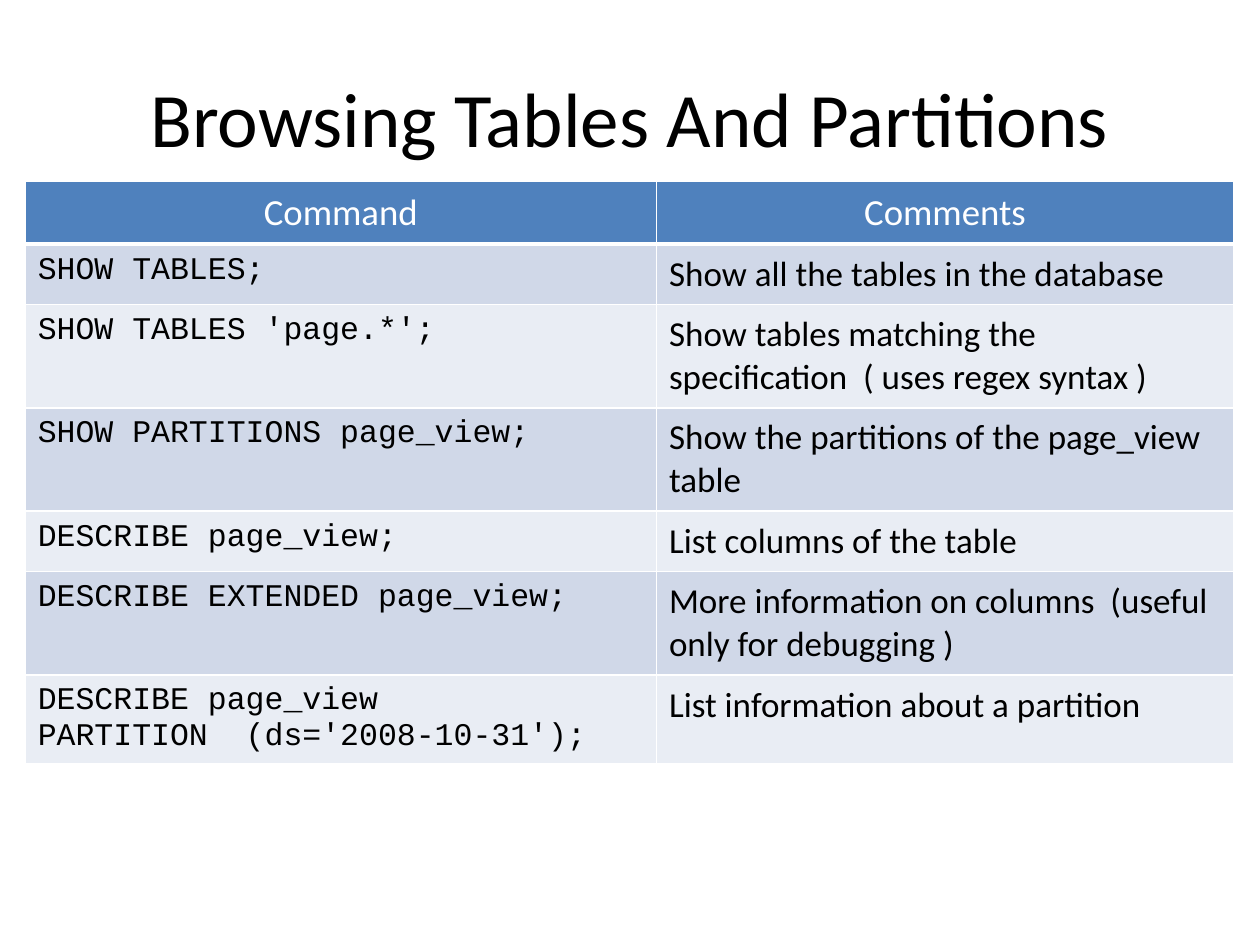
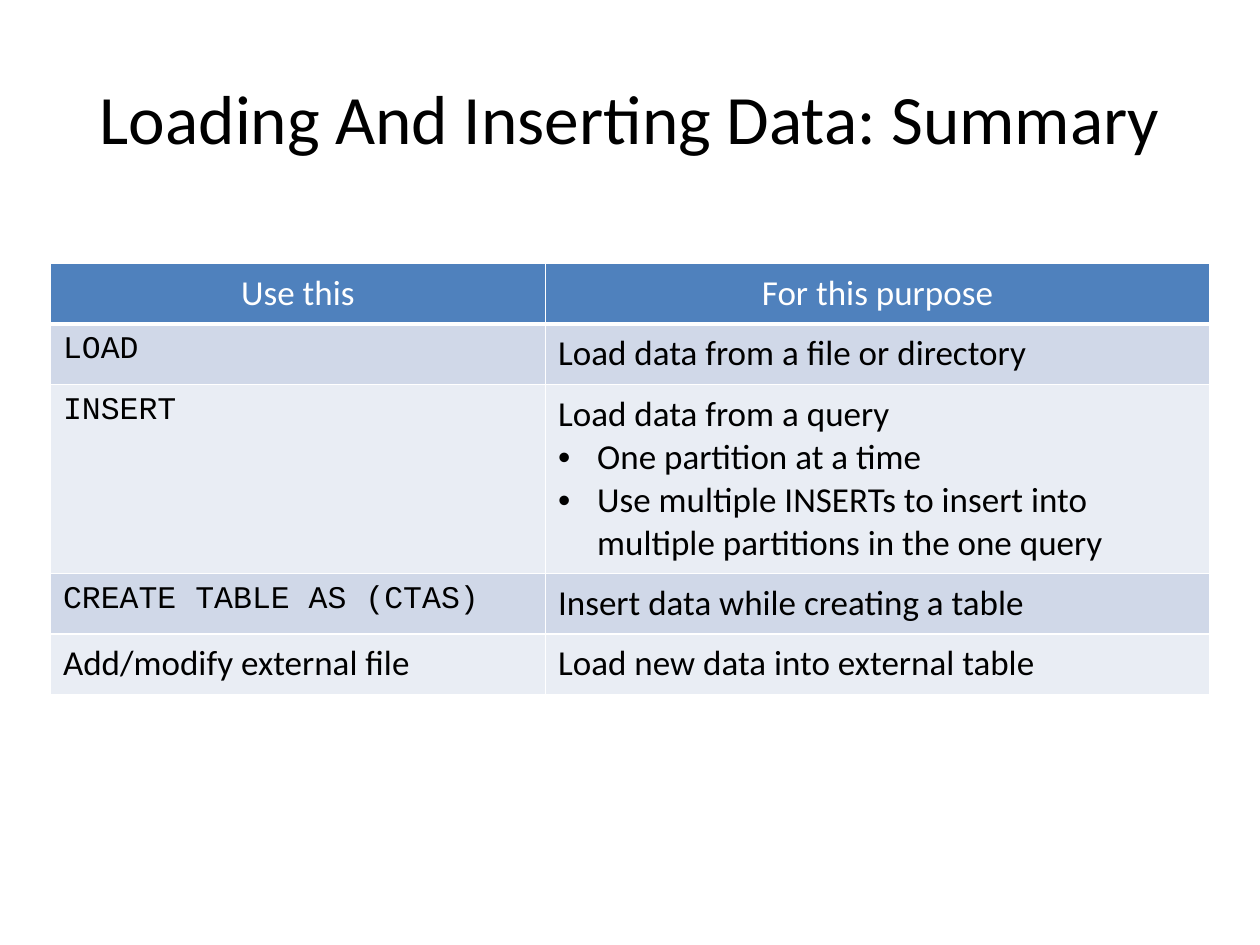
"""Build two slides of command summaries, each a title over a banded table."""
import pptx
import pptx.dml.color
import pptx.enum.text
import pptx.oxml
import pptx.oxml.ns
import pptx.util
from pptx.util import Inches

RGBColor = pptx.dml.color.RGBColor
BLACK = RGBColor(0x00, 0x00, 0x00)
WHITE = RGBColor(0xFF, 0xFF, 0xFF)
HEADER_BLUE = RGBColor(0x4F, 0x81, 0xBD)
BANDS = (RGBColor(0xD0, 0xD8, 0xE8), RGBColor(0xE9, 0xED, 0xF4))
BODY_FONT = "Calibri"
CODE_FONT = "Courier New"
CENTER = pptx.enum.text.PP_ALIGN.CENTER
LEFT = pptx.enum.text.PP_ALIGN.LEFT
MIDDLE = pptx.enum.text.MSO_ANCHOR.MIDDLE
ROW_HEIGHT = 0.41

BODY = {"size": 20}
CODE = {"size": 18, "font": CODE_FONT}

BROWSING_ROWS = [
    ("SHOW TABLES;", "Show all the tables in the database"),
    ("SHOW TABLES 'page.*';",
     "Show tables matching the specification  ( uses regex syntax )"),
    ("SHOW PARTITIONS page_view;", "Show the partitions of the page_view table"),
    ("DESCRIBE page_view;", "List columns of the table"),
    ("DESCRIBE EXTENDED page_view;",
     "More information on columns  (useful only for debugging )"),
    ("DESCRIBE page_view\nPARTITION  (ds='2008-10-31');",
     "List information about a partition"),
]
LOADING_ROWS = [
    ("LOAD", "Load data from a file or directory"),
    ("INSERT",
     "Load data from a query\n"
     "• One partition at a time\n"
     "• Use multiple INSERTs to insert into multiple partitions in the one query"),
    ("CREATE TABLE AS (CTAS)", "Insert data while creating a table"),
    ("Add/modify external file", "Load new data into external table"),
]


def add_bullet(paragraph):
    """Give a paragraph a round bullet with a hanging indent."""
    properties = paragraph._p.get_or_add_pPr()
    properties.set("marL", str(Inches(0.31)))
    properties.set("indent", str(Inches(-0.31)))
    namespace = pptx.oxml.ns.nsdecls("a")
    for markup in (f'<a:buFont {namespace} typeface="Arial"/>',
                   f'<a:buChar {namespace} char="•"/>'):
        properties.append(pptx.oxml.parse_xml(markup))


def write_text(text_frame, text, size, font=BODY_FONT, color=BLACK, align=LEFT):
    """Write one paragraph per line; a leading bullet sign makes a list item."""
    for index, line in enumerate(text.split("\n")):
        paragraph = text_frame.add_paragraph() if index else text_frame.paragraphs[0]
        paragraph.alignment = align
        if line.startswith("• "):
            add_bullet(paragraph)
        run = paragraph.add_run()
        run.text = line.removeprefix("• ")
        run.font.size = pptx.util.Pt(size)
        run.font.name = font
        run.font.bold = False
        run.font.color.rgb = color


def set_borders(cell, bottom):
    """Draw white cell borders, with the bottom one at the given width."""
    properties = cell._tc.get_or_add_tcPr()
    for side, width in (("L", 1), ("R", 1), ("T", 1), ("B", bottom)):
        properties.append(pptx.oxml.parse_xml(
            f'<a:ln{side} {pptx.oxml.ns.nsdecls("a")} w="{pptx.util.Pt(width)}">'
            f'<a:solidFill><a:srgbClr val="{WHITE}"/></a:solidFill></a:ln{side}>'))


def fill_cell(cell, text, fill, bottom=1, **text_format):
    """Set the margins, borders, fill and text of one cell."""
    cell.margin_left = cell.margin_right = Inches(0.1)
    cell.margin_top = cell.margin_bottom = Inches(0.07)
    set_borders(cell, bottom)
    cell.fill.solid()
    cell.fill.fore_color.rgb = fill
    write_text(cell.text_frame, text, **text_format)


def add_title(slide, text, size):
    """Place and write the slide title."""
    title = slide.shapes.title
    title.left, title.top = Inches(0.5), Inches(0.3)
    title.width, title.height = Inches(9), Inches(1.25)
    title.text_frame.vertical_anchor = MIDDLE
    write_text(title.text_frame, text, size=size, align=CENTER)


def add_banded_table(slide, box, widths, headers, header_size, rows, plain=()):
    """Add a table of code and comments; cells listed in plain use body text."""
    frame = slide.shapes.add_table(
        len(rows) + 1, len(widths), *(Inches(length) for length in box))
    table = frame.table
    for column, width in zip(table.columns, widths):
        column.width = Inches(width)
    for row in table.rows:
        row.height = Inches(ROW_HEIGHT)
    frame.height = Inches(box[3])
    for column, header in enumerate(headers):
        fill_cell(table.cell(0, column), header, HEADER_BLUE, bottom=3,
                  size=header_size, color=WHITE, align=CENTER)
    for index, (command, comment) in enumerate(rows):
        band = BANDS[index % 2]
        command_format = BODY if command in plain else CODE
        fill_cell(table.cell(index + 1, 0), command, band, **command_format)
        fill_cell(table.cell(index + 1, 1), comment, band, **BODY)


def main():
    """Build and save the presentation."""
    presentation = pptx.Presentation()
    presentation.slide_width = Inches(10)
    presentation.slide_height = Inches(7.5)
    title_only = presentation.slide_layouts[5]

    slide = presentation.slides.add_slide(title_only)
    add_title(slide, "Browsing Tables And Partitions", 44)
    add_banded_table(slide, (0.2, 1.44, 9.58, 4.55), (5.01, 4.58),
                     ("Command", "Comments"), 21, BROWSING_ROWS)

    slide = presentation.slides.add_slide(title_only)
    add_title(slide, "Loading And Inserting Data: Summary", 39.6)
    add_banded_table(slide, (0.4, 2.09, 9.2, 3.33), (3.93, 5.27),
                     ("Use this", "For this purpose"), 20, LOADING_ROWS,
                     plain=("Add/modify external file",))

    presentation.save("out.pptx")


main()
